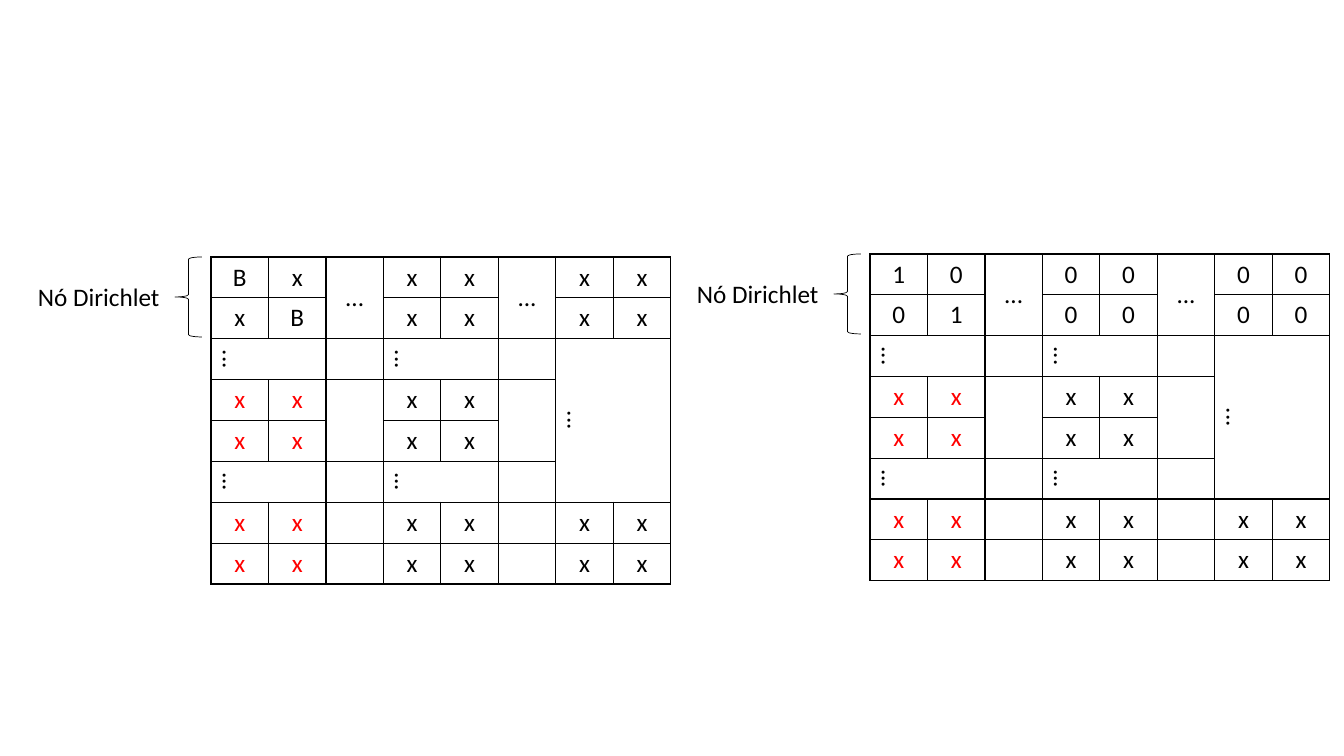
"""Build a slide that shows a matrix before and after the Dirichlet node condition."""
import pptx
import pptx.dml.color
import pptx.enum.shapes
import pptx.enum.text
import pptx.oxml
import pptx.oxml.ns
import pptx.util

BLACK, RED = "000000", "FF0000"
SLIDE = (1344, 756)
TABLE = (460, 327)
BRACE = (-36, 0, 27, 80)
LABEL = (-183, 19, 161, 40)
LABEL_TEXT = "Nó Dirichlet"
FONT = {"name": "Calibri", "size": pptx.util.Pt(18), "bold": False}
BORDER_SIDES = ("lnL", "lnR", "lnT", "lnB")

NODE_ROW = ["x", "x", "", "x", "x", "", "x", "x"]
HALF_NODE_ROW = ["x", "x", "", "x", "x", "", "", ""]
DOTS_ROW = ["...", "", "", "...", "", "", "", ""]
COMMON_ROWS = [
    ["...", "", "", "...", "", "", "...", ""],
    HALF_NODE_ROW,
    HALF_NODE_ROW,
    DOTS_ROW,
    NODE_ROW,
    NODE_ROW,
]
MATRICES = [
    {
        "origin": (211, 257),
        "rows": [
            ["B", "x", "...", "x", "x", "...", "x", "x"],
            ["x", "B", "", "x", "x", "", "x", "x"],
        ] + COMMON_ROWS,
    },
    {
        "origin": (870, 254),
        "rows": [
            ["1", "0", "...", "0", "0", "...", "0", "0"],
            ["0", "1", "", "0", "0", "", "0", "0"],
        ] + COMMON_ROWS,
    },
]
MERGES = [
    ((0, 2), (1, 2)), ((0, 5), (1, 5)),
    ((2, 0), (2, 1)), ((2, 3), (2, 4)), ((2, 6), (5, 7)),
    ((3, 2), (4, 2)), ((3, 5), (4, 5)),
    ((5, 0), (5, 1)), ((5, 3), (5, 4)),
]


def px(length):
    return pptx.util.Emu(round(length * 914400 / 100.8))


def color(value):
    return pptx.dml.color.RGBColor.from_string(value)


def place(origin, box):
    left, top, width, height = box
    return [px(length) for length in (origin[0] + left, origin[1] + top, width, height)]


def write(text_frame, text, text_color):
    text_frame.text = text
    font = text_frame.paragraphs[0].runs[0].font
    for attribute, value in FONT.items():
        setattr(font, attribute, value)
    font.color.rgb = color(text_color)


def add_borders(properties):
    for side in BORDER_SIDES:
        properties.append(pptx.oxml.parse_xml(
            f'<a:{side} {pptx.oxml.ns.nsdecls("a")} w="12700">'
            f'<a:solidFill><a:srgbClr val="{BLACK}"/></a:solidFill></a:{side}>'))


def format_cell(cell, text, row, column):
    properties = cell._tc.get_or_add_tcPr()
    add_borders(properties)
    cell.fill.background()
    cell.vertical_anchor = pptx.enum.text.MSO_ANCHOR.MIDDLE
    if text:
        below_node = row >= 2
        if text == "..." and below_node:
            properties.set("vert", "vert")
        is_red = text == "x" and below_node and column < 2
        write(cell.text_frame, text, RED if is_red else BLACK)
        cell.text_frame.paragraphs[0].alignment = pptx.enum.text.PP_ALIGN.CENTER


def add_matrix(slide, origin, rows):
    row_count, column_count = len(rows), len(rows[0])
    frame = slide.shapes.add_table(row_count, column_count, *place(origin, (0, 0, *TABLE)))
    table = frame.table
    table.first_row = table.horz_banding = False
    for column in table.columns:
        column.width = px(TABLE[0] / column_count)
    for row in table.rows:
        row.height = px(TABLE[1] / row_count)
    for first, last in MERGES:
        table.cell(*first).merge(table.cell(*last))
    for row, texts in enumerate(rows):
        for column, text in enumerate(texts):
            format_cell(table.cell(row, column), text, row, column)


def add_node_label(slide, origin):
    brace = slide.shapes.add_shape(
        pptx.enum.shapes.MSO_SHAPE.LEFT_BRACE, *place(origin, BRACE))
    brace.shadow.inherit = False
    brace.fill.background()
    brace.line.color.rgb = color(BLACK)
    brace.line.width = pptx.util.Pt(0.5)
    label = slide.shapes.add_textbox(*place(origin, LABEL))
    label.text_frame.word_wrap = True
    label.text_frame.auto_size = pptx.enum.text.MSO_AUTO_SIZE.SHAPE_TO_FIT_TEXT
    write(label.text_frame, LABEL_TEXT, BLACK)


def main():
    presentation = pptx.Presentation()
    presentation.slide_width, presentation.slide_height = map(px, SLIDE)
    slide = presentation.slides.add_slide(presentation.slide_layouts[6])
    for matrix in MATRICES:
        add_matrix(slide, matrix["origin"], matrix["rows"])
        add_node_label(slide, matrix["origin"])
    presentation.save("out.pptx")


if __name__ == "__main__":
    main()
